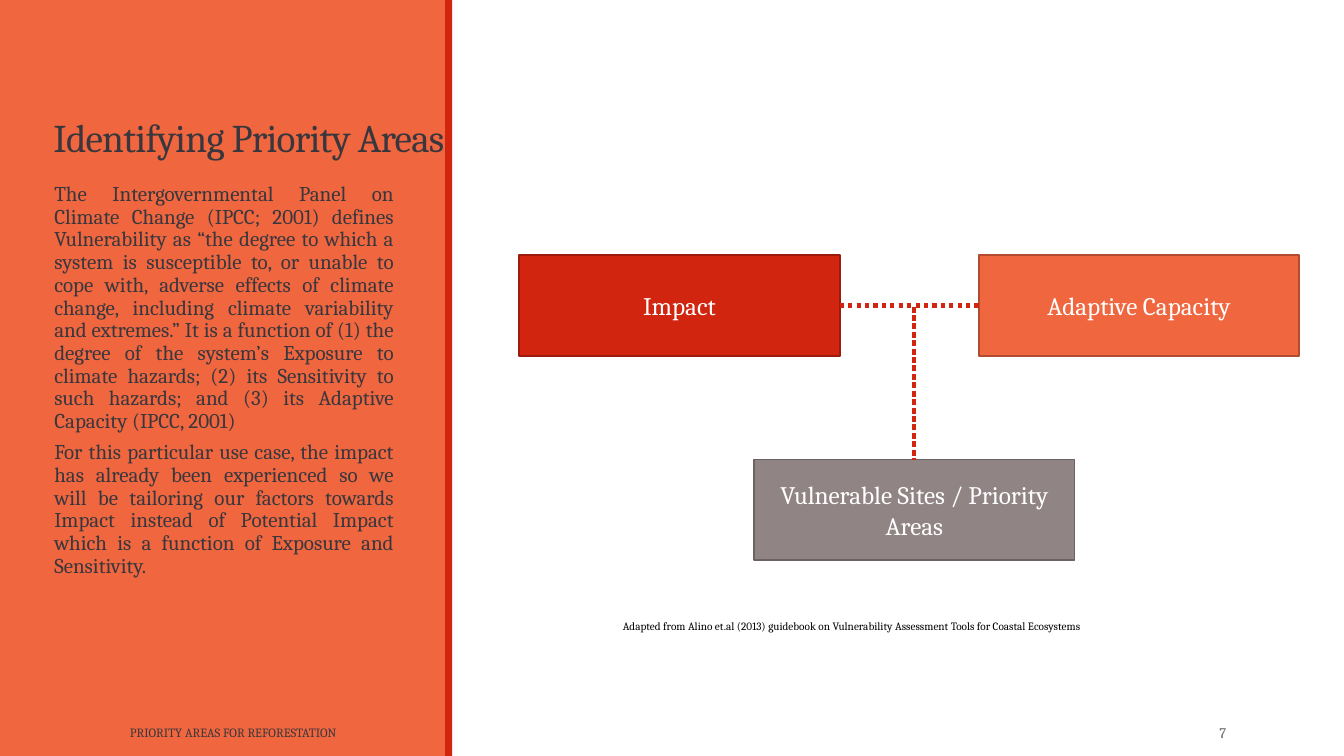
from pptx import Presentation
from pptx import util as u
from pptx.dml.color import RGBColor
from pptx.enum import dml, shapes, text
from pptx.oxml.ns import qn
from lxml import etree

ORANGE = RGBColor(0xF0, 0x66, 0x3F)
ORANGE_EDGE = RGBColor(0xB2, 0x4B, 0x2F)
RED = RGBColor(0xD1, 0x25, 0x10)
RED_EDGE = RGBColor(0x9B, 0x1B, 0x0C)
TAUPE = RGBColor(0x91, 0x84, 0x85)
TAUPE_EDGE = RGBColor(0x6B, 0x62, 0x62)
INK = RGBColor(0x39, 0x37, 0x3D)
GREY = RGBColor(0x69, 0x64, 0x64)
BLACK = RGBColor(0, 0, 0)
WHITE = RGBColor(0xFF, 0xFF, 0xFF)

LEFT, RIGHT = text.PP_ALIGN.LEFT, text.PP_ALIGN.RIGHT
CENTER, JUSTIFY = text.PP_ALIGN.CENTER, text.PP_ALIGN.JUSTIFY
TOP, MIDDLE, BOTTOM = (text.MSO_ANCHOR.TOP, text.MSO_ANCHOR.MIDDLE,
                       text.MSO_ANCHOR.BOTTOM)

DEFINITION = (
    "The Intergovernmental Panel on Climate Change (IPCC; 2001) defines "
    "Vulnerability as “the degree to which a system is susceptible to, or "
    "unable to cope with, adverse effects of climate change, including "
    "climate variability and extremes.” It is a function of (1) the degree "
    "of the system’s Exposure to climate hazards; (2) its Sensitivity to "
    "such hazards; and (3) its Adaptive Capacity (IPCC, 2001)")
USE_CASE = (
    "For this particular use case, the impact has already been experienced "
    "so we will be tailoring our factors towards Impact instead of Potential "
    "Impact which is a function of Exposure and Sensitivity.")


class SlideBuilder:
    """Places styled elements on one slide; lengths are in points."""

    font = "Cambria"

    def __init__(self, slide):
        self.slide = slide

    def set_text(self, frame, words, size, color, align=LEFT, anchor=TOP,
                 leading=None, after=0, spacing=None):
        frame.word_wrap = True
        frame.vertical_anchor = anchor
        frame.text = words
        for para in frame.paragraphs:
            para.alignment = align
            para.line_spacing = leading
            para.space_after = u.Pt(after)
            for span in para.runs:
                span.font.name = self.font
                span.font.size = u.Pt(size)
                span.font.color.rgb = color
                if spacing is not None:
                    span.font._element.set("spc", str(int(spacing * 100)))

    def label(self, area, words, size, color, side_inset=7.2, **style):
        box = self.slide.shapes.add_textbox(*map(u.Pt, area))
        frame = box.text_frame
        frame.margin_left = frame.margin_right = u.Pt(side_inset)
        self.set_text(frame, words, size, color, **style)

    def block(self, area, fill, edge=None, words=None):
        box = self.slide.shapes.add_shape(
            shapes.MSO_SHAPE.RECTANGLE, *map(u.Pt, area))
        box.shadow.inherit = False
        box.fill.solid()
        box.fill.fore_color.rgb = fill
        if edge is None:
            box.line.fill.background()
        else:
            box.line.color.rgb = edge
            box.line.width = u.Pt(1.25)
        if words:
            self.set_text(box.text_frame, words, 18, WHITE, CENTER, MIDDLE)
        return box

    def dotted_elbow(self, start, start_site, end, end_site):
        link = self.slide.shapes.add_connector(
            shapes.MSO_CONNECTOR.ELBOW, 0, 0, 0, 0)
        link.begin_connect(start, start_site)
        link.end_connect(end, end_site)
        link.line.color.rgb = RED
        link.line.width = u.Pt(3)
        link.line.dash_style = dml.MSO_LINE.ROUND_DOT
        # One bend only, and no shadow
        properties = link._element.spPr
        properties.find(qn("a:prstGeom")).set("prst", "bentConnector2")
        etree.SubElement(properties, qn("a:effectLst"))


def main():
    deck = Presentation()
    deck.slide_width, deck.slide_height = u.Pt(960), u.Pt(540)
    page = SlideBuilder(deck.slides.add_slide(deck.slide_layouts[6]))

    # Side panel with its text
    page.block((0, 0, 319, 540), ORANGE)
    page.label((31, 41, 330.5, 77), "Identifying Priority Areas", 28, INK,
               anchor=BOTTOM, leading=0.85, spacing=-0.5)
    page.label((38.8, 127.5, 242.6, 372), DEFINITION + "\n" + USE_CASE, 15,
               INK, side_inset=0, align=JUSTIFY, leading=0.9, after=6)
    page.block((318, 0, 5, 540), RED)

    # Footer and source credit
    page.label((85.7, 508.5, 296, 29), "PRIORITY AREAS FOR REFORESTATION", 9,
               INK, anchor=MIDDLE, after=6)
    page.label((780, 508.5, 103, 29), "7", 10.5, GREY, align=RIGHT,
               anchor=MIDDLE, after=6)
    page.label((437.8, 439.2, 484, 17.3),
               "Adapted from Alino et.al (2013) guidebook on Vulnerability "
               "Assessment Tools for Coastal Ecosystems", 8, BLACK)

    # Diagram: two factors lead to the priority sites
    width, height = 229, 72
    impact = page.block((370.8, 182.2, width, height), RED, RED_EDGE,
                        "Impact")
    capacity = page.block((699.1, 182.2, width, height), ORANGE, ORANGE_EDGE,
                          "Adaptive Capacity")
    sites = page.block((538.6, 328.3, width, height), TAUPE, TAUPE_EDGE,
                       "Vulnerable Sites / Priority Areas")
    top_site, left_site, right_site = 0, 1, 3
    page.dotted_elbow(impact, right_site, sites, top_site)
    page.dotted_elbow(capacity, left_site, sites, top_site)

    deck.save("out.pptx")


if __name__ == "__main__":
    main()
